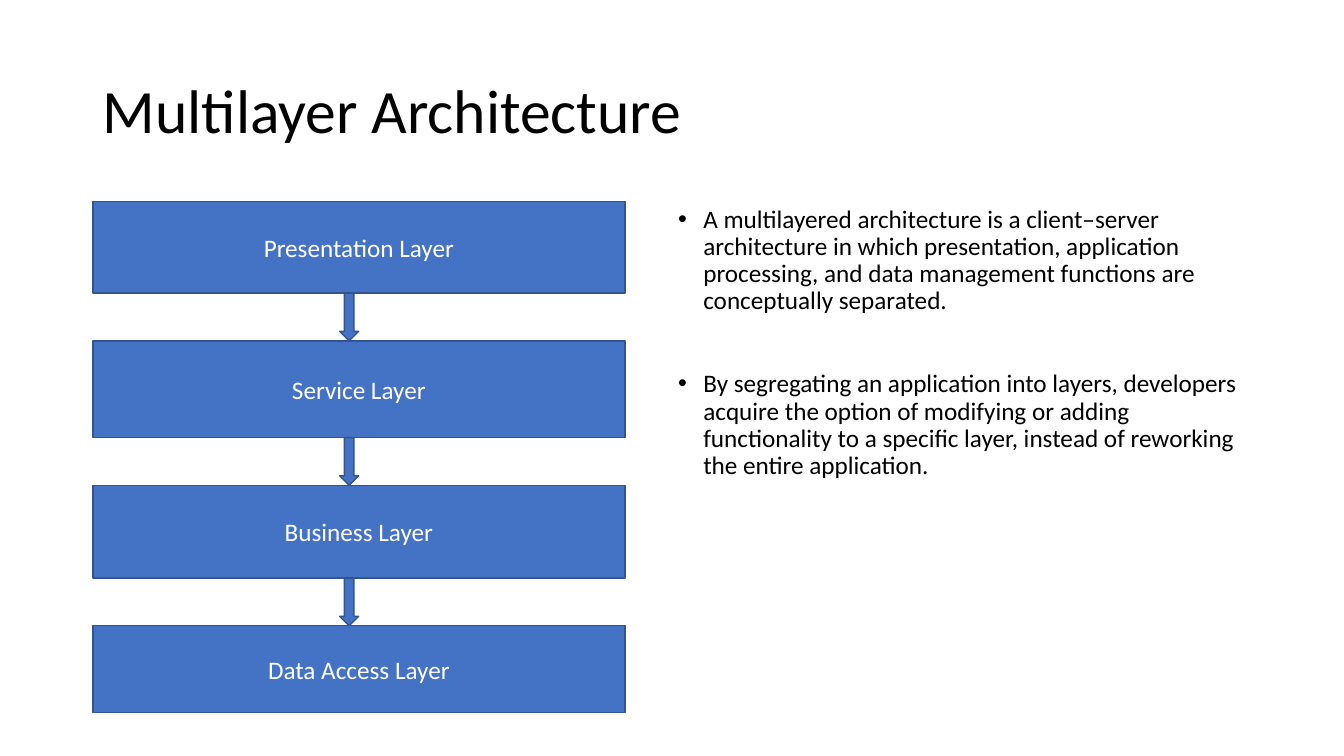
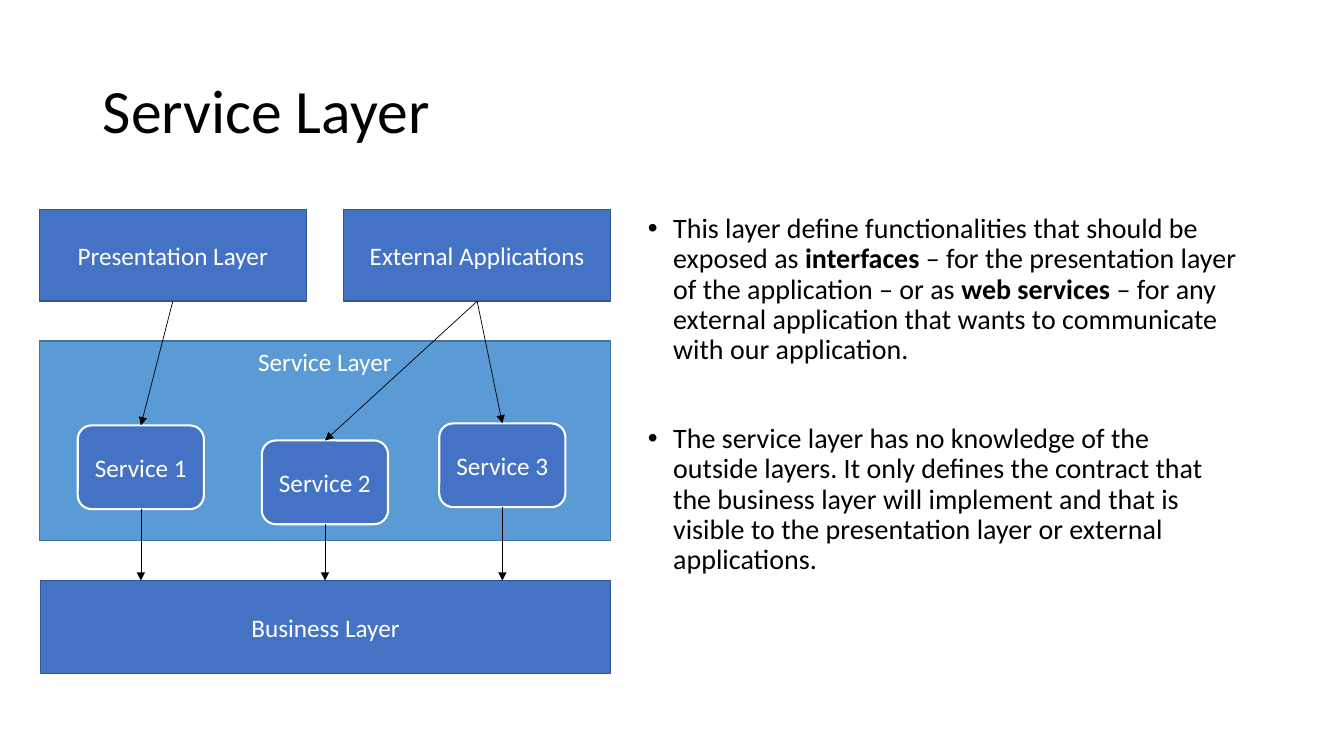
import dataclasses
from typing import Any

import lxml.etree
import pptx
import pptx.dml.color
import pptx.enum.shapes
import pptx.enum.text
import pptx.oxml.ns
import pptx.util

Cm = pptx.util.Cm
Pt = pptx.util.Pt
Shapes = pptx.enum.shapes.MSO_SHAPE
Anchor = pptx.enum.text.MSO_ANCHOR
Align = pptx.enum.text.PP_ALIGN
qn = pptx.oxml.ns.qn

# Shared look
COLORS = {
    "text": "000000",
    "light": "FFFFFF",
    "box": "4472C4",
    "box_edge": "325491",
    "panel": "5B9BD5",
    "panel_edge": "43739E",
}
FONT = "Calibri"
LABEL_SIZE = 18
TITLE_SIZE = 44
TITLE_AREA = (2.34, 1.02, 29.21, 3.68)
BODY_RIGHT = 31.52
BODY_HEIGHT = 12.09
TOP, BOTTOM = 2, 0  # connection sites: index 0 is the top, 2 the bottom
TOP, BOTTOM = 0, 2


@dataclasses.dataclass(frozen=True)
class Style:
    fill: str = "box"
    edge: str = "box_edge"
    edge_width: float = 1
    kind: Any = Shapes.RECTANGLE
    anchor: Any = Anchor.MIDDLE


@dataclasses.dataclass(frozen=True)
class Node:
    label: str
    left: float
    top: float
    width: float
    height: float
    style: Style = Style()


@dataclasses.dataclass(frozen=True)
class Span:
    words: str
    bold: bool = False


PLAIN = Style()
PANEL = Style("panel", "panel_edge", anchor=Anchor.TOP)
SERVICE = Style(edge="light", edge_width=1.5, kind=Shapes.ROUNDED_RECTANGLE)
ARROW = Style(kind=Shapes.DOWN_ARROW)


def rgb(name: str) -> pptx.dml.color.RGBColor:
    return pptx.dml.color.RGBColor.from_string(COLORS[name])


def apply(target: Any, values: dict[str, Any]) -> None:
    for name, value in values.items():
        setattr(target, name, value)


def add_span(para: Any, span: Span, size: float, color: str) -> None:
    run = para.add_run()
    run.text = span.words
    apply(run.font, {"name": FONT, "size": Pt(size), "bold": span.bold})
    run.font.color.rgb = rgb(color)


def add_box(page: Any, area: tuple[float, ...], anchor: Any) -> Any:
    frame = page.shapes.add_textbox(*map(Cm, area)).text_frame
    apply(frame, {"word_wrap": True, "vertical_anchor": anchor})
    return frame


def add_title(page: Any, words: str) -> None:
    para = add_box(page, TITLE_AREA, Anchor.MIDDLE).paragraphs[0]
    para.line_spacing = 0.9
    add_span(para, Span(words), TITLE_SIZE, "text")


def add_bullets(page: Any, left: float, top: float, size: float,
                bullets: list[list[Span]]) -> None:
    area = (left, top, BODY_RIGHT - left, BODY_HEIGHT)
    frame = add_box(page, area, Anchor.TOP)
    for index, spans in enumerate(bullets):
        para = frame.add_paragraph() if index else frame.paragraphs[0]
        # Later bullets stand one text line further apart
        space = 20 + 1.1 * size if index else 10
        apply(para, {"line_spacing": 0.9, "space_before": Pt(space)})
        props = para._p.get_or_add_pPr()
        props.set("marL", str(Cm(0.635)))
        props.set("indent", str(-Cm(0.635)))
        font = lxml.etree.SubElement(props, qn("a:buFont"))
        font.set("typeface", "Arial")
        lxml.etree.SubElement(props, qn("a:buChar")).set("char", "•")
        for span in spans:
            add_span(para, span, size, "text")


def add_node(page: Any, node: Node) -> Any:
    style = node.style
    area = map(Cm, (node.left, node.top, node.width, node.height))
    shape = page.shapes.add_shape(style.kind, *area)
    shape.shadow.inherit = False
    shape.fill.solid()
    shape.fill.fore_color.rgb = rgb(style.fill)
    shape.line.color.rgb = rgb(style.edge)
    shape.line.width = Pt(style.edge_width)
    if node.label:
        frame = shape.text_frame
        apply(frame, {"word_wrap": True, "vertical_anchor": style.anchor})
        para = frame.paragraphs[0]
        para.alignment = Align.CENTER
        add_span(para, Span(node.label), LABEL_SIZE, "light")
    return shape


def add_link(page: Any, source: Any, target: Any, straight_down: bool = False) -> None:
    """Link the bottom of source to target, at its top centre or straight below."""
    x = source.left + source.width // 2
    link = page.shapes.add_connector(
        pptx.enum.shapes.MSO_CONNECTOR.STRAIGHT,
        x, source.top + source.height, x, target.top)
    link.begin_connect(source, BOTTOM)
    if not straight_down:
        link.end_connect(target, TOP)
    link.line.color.rgb = rgb("text")
    link.line.width = Pt(0.5)
    props = link._element.spPr
    tail = lxml.etree.SubElement(props.find(qn("a:ln")), qn("a:tailEnd"))
    tail.set("type", "triangle")
    lxml.etree.SubElement(props, qn("a:effectLst"))


def build_architecture(page: Any) -> None:
    add_title(page, "Multilayer Architecture")
    add_bullets(page, 16.84, 5.08, 18, [
        [Span("A multilayered architecture is a client–server architecture in which "
              "presentation, application processing, and data management functions "
              "are conceptually separated.")],
        [Span("By segregating an application into layers, developers acquire the "
              "option of modifying or adding functionality to a specific layer, "
              "instead of reworking the entire application.")],
    ])

    # Stack of layers with a block arrow in each gap
    layers = {"Presentation Layer": 2.31, "Service Layer": 2.44,
              "Business Layer": 2.34, "Data Access Layer": 2.18}
    gap, top = 1.2, 5.08
    for index, (label, height) in enumerate(layers.items()):
        if index:
            add_node(page, Node("", 8.56, top - gap, 0.48, gap, ARROW))
        add_node(page, Node(label, 2.34, top, 13.41, height))
        top += height + gap


def build_service_layer(page: Any) -> None:
    add_title(page, "Service Layer")
    add_bullets(page, 16.08, 5.28, 20, [
        [Span("This layer define functionalities that should be exposed as "),
         Span("interfaces", True),
         Span(" – for the presentation layer of the application – or as "),
         Span("web services ", True),
         Span("– for any external application that wants to communicate with "
              "our application.")],
        [Span("The service layer has no knowledge of the outside layers. It only "
              "defines the contract that the business layer will implement and that "
              "is visible to the presentation layer or external applications.")],
    ])

    # Service panel, its services, and the layers around it
    add_node(page, Node("Service Layer", 0.99, 8.59, 14.4, 5.03, PANEL))
    places = [(1.96, 10.72), (6.6, 11.1), (11.07, 10.67)]
    services = [
        add_node(page, Node(f"Service {number}", left, top, 3.18, 2.11, SERVICE))
        for number, (left, top) in enumerate(places, 1)
    ]
    presentation, external = [
        add_node(page, Node(label, left, 5.28, 6.73, 2.31))
        for label, left in (("Presentation Layer", 0.99),
                            ("External Applications", 8.66))
    ]
    business = add_node(page, Node("Business Layer", 1.02, 14.63, 14.37, 2.34))

    # Calls into the services and on to the business layer
    for caller, service in zip((presentation, external, external), services):
        add_link(page, caller, service)
        add_link(page, service, business, straight_down=True)


def main() -> None:
    deck = pptx.Presentation()
    apply(deck, {"slide_width": Cm(33.87), "slide_height": Cm(19.05)})
    for build in (build_architecture, build_service_layer):
        build(deck.slides.add_slide(deck.slide_layouts[6]))
    deck.save("out.pptx")


if __name__ == "__main__":
    main()
